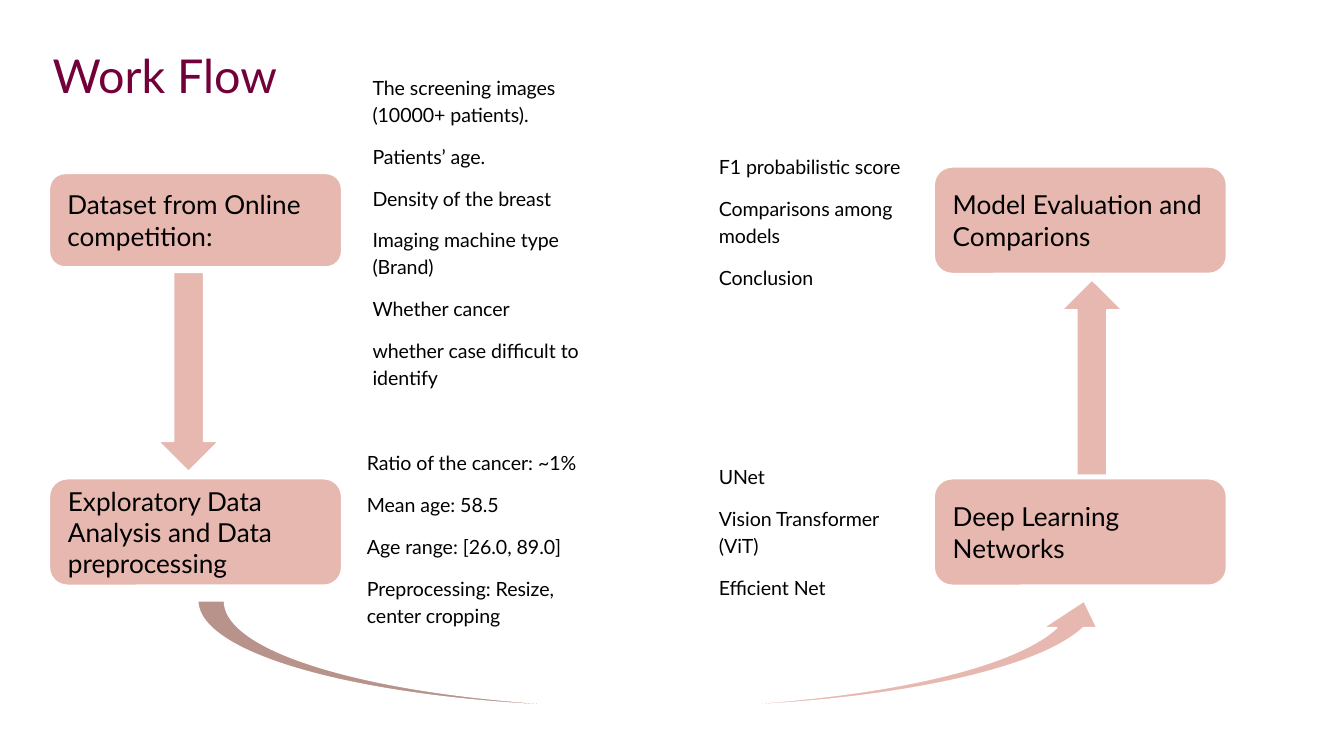
from lxml import etree
from pptx import Presentation
from pptx.dml.color import RGBColor
from pptx.enum import shapes, text
from pptx.oxml import ns
from pptx.util import Pt

COLORS = {"title": "720039", "rose": "E6B8AF", "white": "FFFFFF", "black": "000000"}
FONT = "Lato"
INSET = 7.2
CARD_WIDTH = 156.5
SHAPE = shapes.MSO_SHAPE

# Card position and height; the notes are placed relative to the card's corner.
STAGES = [
    {"card": (26.5, 93, 50), "label": "Dataset from Online competition:",
     "notes": (166, -61.5, 144.5, 185),
     "lines": ["The screening images (10000+ patients).", "Patients’ age.",
               "Density of the breast", "Imaging machine type (Brand)",
               "Whether cancer", "whether case difficult to identify"]},
    {"card": (26.5, 256.5, 57),
     "label": "Exploratory Data Analysis and Data preprocessing",
     "notes": (163, -24, 130, 110),
     "lines": ["Ratio of the cancer: ~1%", "Mean age: 58.5",
               "Age range: [26.0, 89.0]", "Preprocessing: Resize, center cropping"]},
    {"card": (500.5, 256.5, 57), "label": "Deep Learning Networks",
     "notes": (-122.5, -16.5, 115, 87),
     "lines": ["UNet", "Vision Transformer (ViT)", "Efficient Net"]},
    {"card": (500.5, 89.5, 57), "label": "Model Evaluation and Comparions",
     "notes": (-122.5, -15.5, 115, 87),
     "lines": ["F1 probabilistic score", "Comparisons among models", "Conclusion"]},
]

ARROWS = [
    (SHAPE.DOWN_ARROW, (85, 146, 32, 106.5)),
    (SHAPE.CURVED_UP_ARROW, (106, 322, 489, 57)),
    (SHAPE.UP_ARROW, (569, 150, 32, 104.5)),
]


def points(box):
    return [Pt(value) for value in box]


def set_values(target, values):
    for name, value in values.items():
        setattr(target, name, value)


def write_text(frame, lines, size, color, anchor, spacing=1.0, gap=0):
    """Fill a text frame with one left-aligned paragraph for each line."""
    set_values(frame, {
        "word_wrap": True, "auto_size": text.MSO_AUTO_SIZE.NONE,
        "vertical_anchor": anchor, "margin_left": Pt(INSET),
        "margin_right": Pt(INSET), "margin_top": Pt(INSET),
        "margin_bottom": Pt(INSET),
    })
    for index, line in enumerate(lines):
        paragraph = frame.paragraphs[0] if index == 0 else frame.add_paragraph()
        set_values(paragraph, {
            "alignment": text.PP_ALIGN.LEFT, "line_spacing": spacing,
            "space_before": Pt(gap if index else 0),
        })
        run = paragraph.add_run()
        run.text = line
        set_values(run.font, {"name": FONT, "size": Pt(size)})
        run.font.color.rgb = RGBColor.from_string(COLORS[color])


def add_title(slide, box, title):
    shape = slide.shapes.title
    set_values(shape, dict(zip(("left", "top", "width", "height"), points(box))))
    write_text(shape.text_frame, [title], 25, "title", text.MSO_ANCHOR.TOP)


def add_rose_shape(slide, kind, box):
    shape = slide.shapes.add_shape(kind, *points(box))
    shape.shadow.inherit = False
    shape.fill.solid()
    shape.fill.fore_color.rgb = RGBColor.from_string(COLORS["rose"])
    shape.line.color.rgb = RGBColor.from_string(COLORS["white"])
    shape.line.width = Pt(0.75)
    return shape


def highlight(frame, color):
    for paragraph in frame.paragraphs:
        for run in paragraph.runs:
            mark = etree.Element(ns.qn("a:highlight"))
            etree.SubElement(mark, ns.qn("a:srgbClr")).set("val", COLORS[color])
            run.font.fill._xPr.find(ns.qn("a:solidFill")).addnext(mark)


def add_stage(slide, stage):
    """Place a stage card and the notes beside it."""
    left, top, height = stage["card"]
    card = add_rose_shape(slide, SHAPE.ROUNDED_RECTANGLE,
                          (left, top, CARD_WIDTH, height))
    write_text(card.text_frame, [stage["label"]], 14, "black",
               text.MSO_ANCHOR.MIDDLE)

    shift_x, shift_y, width, notes_height = stage["notes"]
    notes = slide.shapes.add_textbox(
        *points((left + shift_x, top + shift_y, width, notes_height)))
    write_text(notes.text_frame, stage["lines"], 10.5, "black",
               text.MSO_ANCHOR.TOP, spacing=1.15, gap=8)
    highlight(notes.text_frame, "white")


def main():
    presentation = Presentation()
    presentation.slide_width, presentation.slide_height = Pt(720), Pt(405)
    slide = presentation.slides.add_slide(presentation.slide_layouts[5])
    add_title(slide, (21, 18, 510.5, 44.5), "Work Flow")
    for stage in STAGES:
        add_stage(slide, stage)
    for kind, box in ARROWS:
        add_rose_shape(slide, kind, box)
    presentation.save("out.pptx")


if __name__ == "__main__":
    main()
